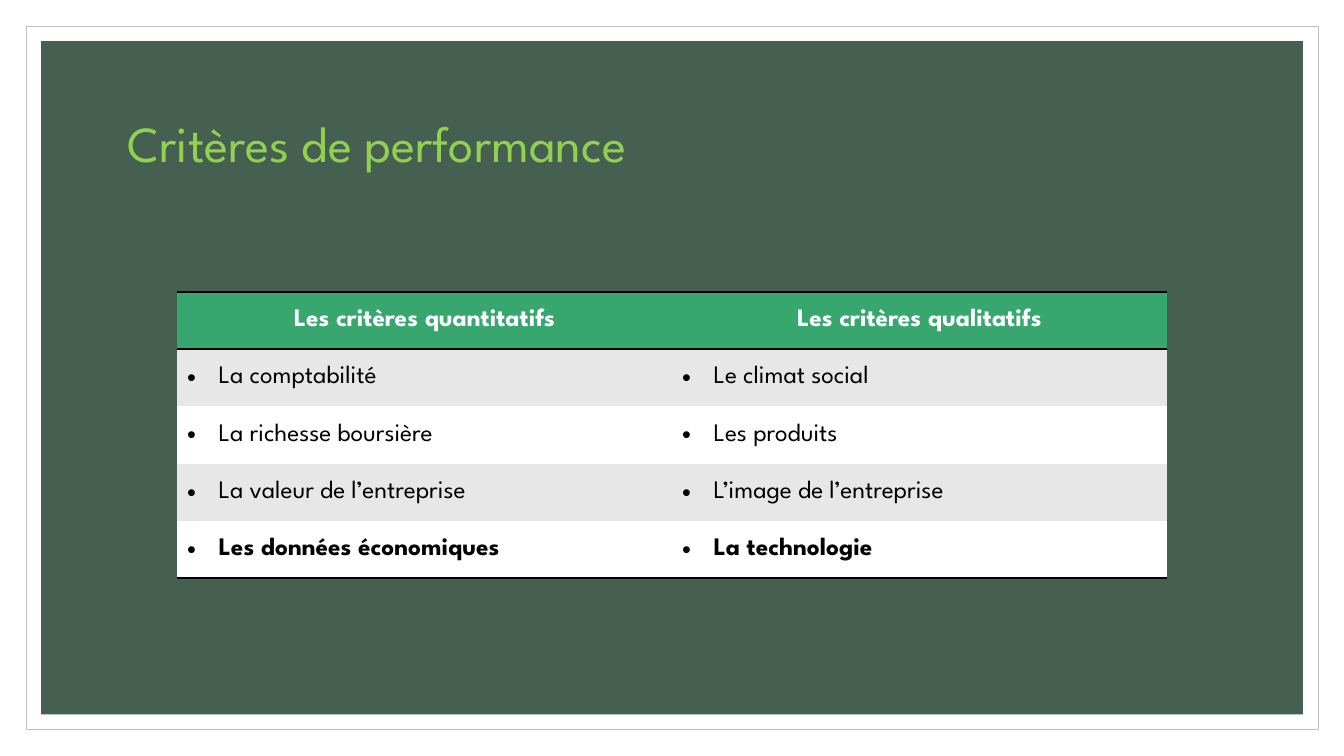
from dataclasses import dataclass

import pptx
import pptx.dml.color
import pptx.enum.shapes
import pptx.enum.text
import pptx.oxml
import pptx.oxml.ns
import pptx.slide
import pptx.table
import pptx.text.text
import pptx.util

Pt = pptx.util.Pt
PP_ALIGN = pptx.enum.text.PP_ALIGN
MIDDLE = pptx.enum.text.MSO_ANCHOR.MIDDLE

FONT = "League Spartan"
COLOURS = {
    "page": "FFFFFF",
    "frame": "BFBFBF",
    "panel": "455F51",
    "title": "92D050",
    "header": "37A76F",
    "header_text": "FFFFFF",
    "band": "E7E7E7",
    "plain": "FFFFFF",
    "text": "000000",
    "rule": "000000",
}
NO_STYLE_NO_GRID = "{2D5ABB26-0587-4C30-8999-92F81FD0307C}"
RULE_WIDTH = Pt(2)
BULLET_INDENT = Pt(22.5)
ROW_HEIGHT = Pt(40.9)
COLUMN_WIDTH = Pt(353.5)


@dataclass(frozen=True)
class Panel:
    left: float
    top: float
    width: float
    height: float
    fill: str
    outline: str | None = None


@dataclass(frozen=True)
class CriteriaRow:
    quantitative: str
    qualitative: str
    fill: str
    text_colour: str = "text"
    bold: bool = False
    header: bool = False
    rules: tuple[str, ...] = ()


PANELS = [
    Panel(18.7, 18.7, 923, 502.6, "page", "frame"),
    Panel(29.3, 29.3, 901.4, 481, "panel"),
]
CRITERIA = [
    CriteriaRow("Les critères quantitatifs", "Les critères qualitatifs", "header",
                "header_text", bold=True, header=True, rules=("lnT", "lnB")),
    CriteriaRow("La comptabilité", "Le climat social", "band"),
    CriteriaRow("La richesse boursière", "Les produits", "plain"),
    CriteriaRow("La valeur de l’entreprise", "L’image de l’entreprise", "band"),
    CriteriaRow("Les données économiques", "La technologie", "plain",
                bold=True, rules=("lnB",)),
]


def colour(name: str) -> pptx.dml.color.RGBColor:
    return pptx.dml.color.RGBColor.from_string(COLOURS[name])


def format_text(paragraph: pptx.text.text._Paragraph, size: float,
                colour_name: str, bold: bool = False) -> None:
    paragraph.font.name = FONT
    paragraph.font.size = Pt(size)
    paragraph.font.bold = bold
    paragraph.font.color.rgb = colour(colour_name)


def draw_panel(slide: pptx.slide.Slide, panel: Panel) -> None:
    background = slide.shapes.add_shape(
        pptx.enum.shapes.MSO_SHAPE.RECTANGLE,
        Pt(panel.left), Pt(panel.top), Pt(panel.width), Pt(panel.height))
    background.shadow.inherit = False
    background.fill.solid()
    background.fill.fore_color.rgb = colour(panel.fill)
    if panel.outline:
        background.line.color.rgb = colour(panel.outline)
        background.line.width = Pt(0.5)
    else:
        background.line.fill.background()
    slide.shapes.title.element.addprevious(background.element)


def write_title(slide: pptx.slide.Slide, wording: str) -> None:
    title = slide.shapes.title
    title.left, title.top, title.width, title.height = Pt(84), Pt(50.4), Pt(792), Pt(108)
    title.text_frame.text = wording
    title.text_frame.vertical_anchor = MIDDLE
    heading = title.text_frame.paragraphs[0]
    heading.alignment = PP_ALIGN.LEFT
    heading.line_spacing = 0.9
    format_text(heading, 36, "title")


def add_bullet(paragraph: pptx.text.text._Paragraph) -> None:
    properties = paragraph._p.get_or_add_pPr()
    properties.set("marL", str(BULLET_INDENT))
    properties.set("indent", str(-BULLET_INDENT))
    font = pptx.oxml.parse_xml(
        f'<a:buFont {pptx.oxml.ns.nsdecls("a")} typeface="Arial"/>')
    bullet = pptx.oxml.parse_xml(
        f'<a:buChar {pptx.oxml.ns.nsdecls("a")} char="•"/>')
    properties.extend([font, bullet])


def add_rule(cell: pptx.table._Cell, edge: str) -> None:
    cell._tc.get_or_add_tcPr().append(pptx.oxml.parse_xml(
        f'<a:{edge} {pptx.oxml.ns.nsdecls("a")} w="{RULE_WIDTH}">'
        f'<a:solidFill><a:srgbClr val="{COLOURS["rule"]}"/></a:solidFill>'
        f'</a:{edge}>'))


def fill_cell(cell: pptx.table._Cell, wording: str, row: CriteriaRow) -> None:
    for edge in row.rules:
        add_rule(cell, edge)
    cell.fill.solid()
    cell.fill.fore_color.rgb = colour(row.fill)
    cell.vertical_anchor = MIDDLE
    cell.text = wording
    paragraph = cell.text_frame.paragraphs[0]
    if row.header:
        paragraph.alignment = PP_ALIGN.CENTER
    else:
        add_bullet(paragraph)
    format_text(paragraph, 18, row.text_colour, row.bold)


def draw_criteria(slide: pptx.slide.Slide, rows: list[CriteriaRow]) -> None:
    criteria = slide.shapes.add_table(
        len(rows), 2, Pt(126.5), Pt(208.6),
        2 * COLUMN_WIDTH, len(rows) * ROW_HEIGHT).table
    criteria._tbl.tblPr.find(
        pptx.oxml.ns.qn("a:tableStyleId")).text = NO_STYLE_NO_GRID
    for column in criteria.columns:
        column.width = COLUMN_WIDTH
    for index, row in enumerate(rows):
        criteria.rows[index].height = ROW_HEIGHT
        for position, wording in enumerate((row.quantitative, row.qualitative)):
            fill_cell(criteria.cell(index, position), wording, row)


def main() -> None:
    presentation = pptx.Presentation()
    presentation.slide_width = Pt(960)
    presentation.slide_height = Pt(540)
    slide = presentation.slides.add_slide(
        presentation.slide_layouts.get_by_name("Title Only"))
    for panel in PANELS:
        draw_panel(slide, panel)
    write_title(slide, "Critères de performance")
    draw_criteria(slide, CRITERIA)
    presentation.save("out.pptx")


if __name__ == "__main__":
    main()
